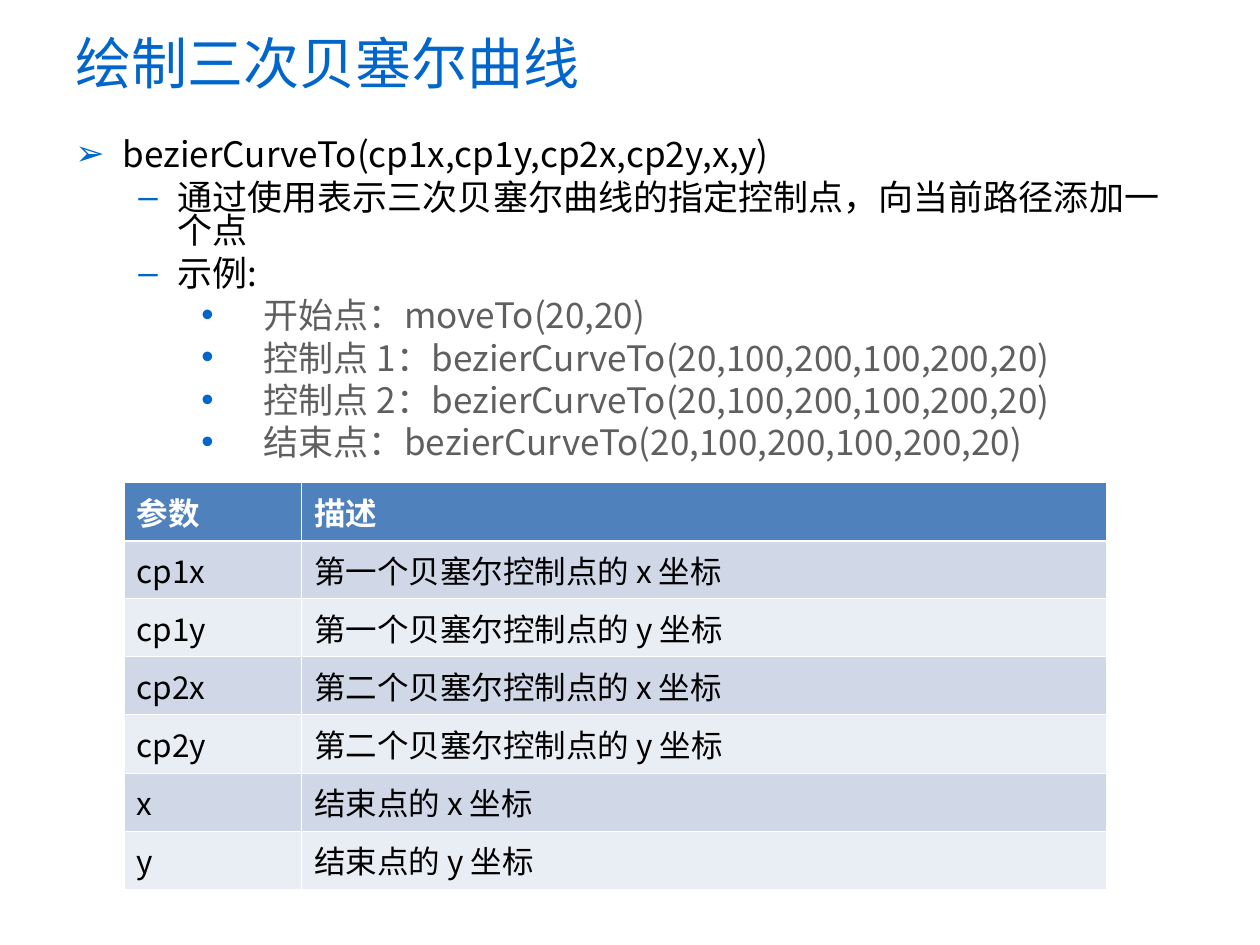
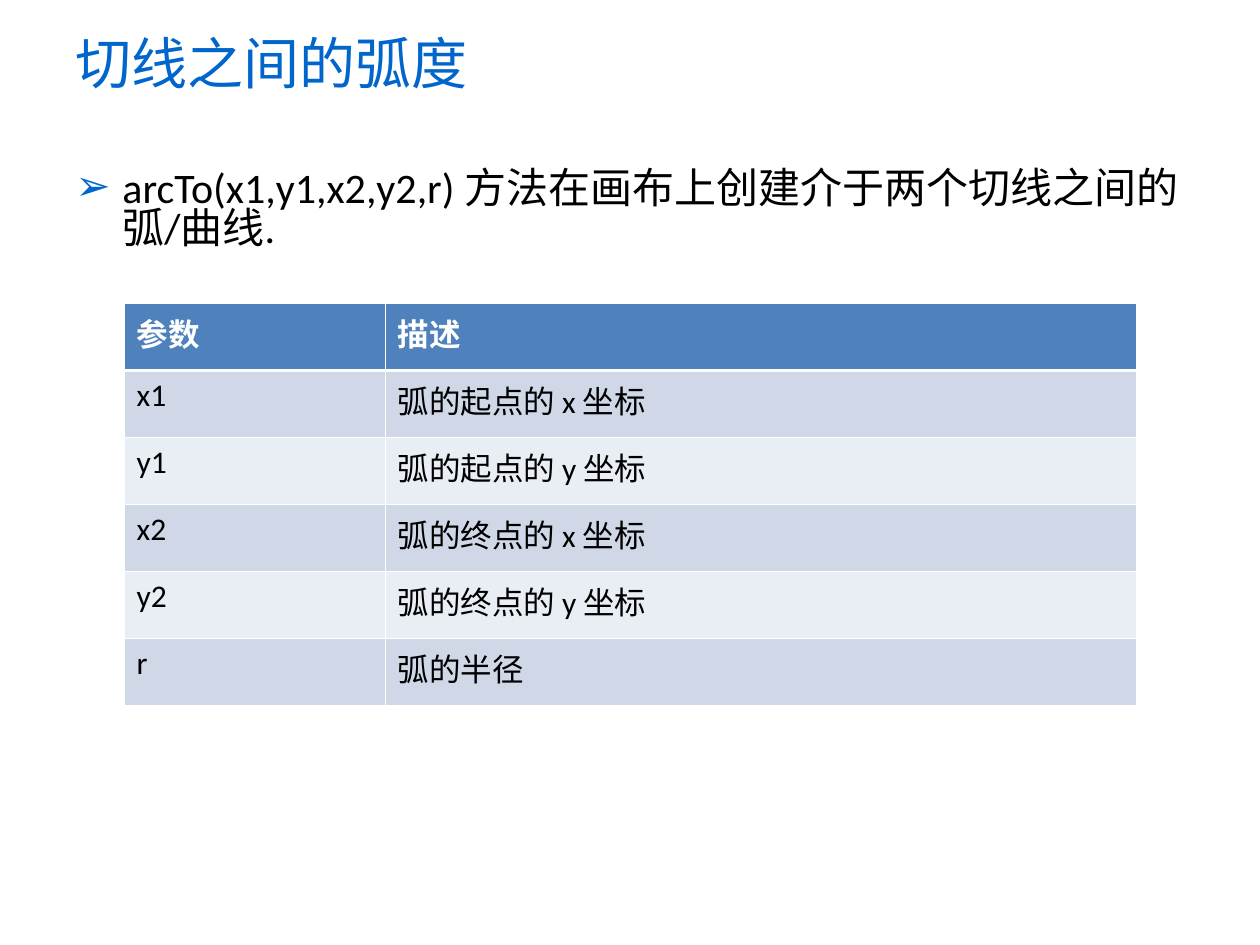
from lxml import etree
from pptx import Presentation
from pptx import util as u
from pptx.dml.color import RGBColor
from pptx.enum import text
from pptx.oxml import ns

COLORS = {
    "accent": "0066CC",
    "ink": "000000",
    "gray": "5F5F5F",
    "white": "FFFFFF",
    "header": "4F81BD",
    "odd_row": "D0D8E8",
    "even_row": "E9EDF4",
}
CJK = "Noto Sans CJK SC"
LATIN = "Calibri"
LEVELS = [
    ("➢", 0.95, 0.95, "ink"),
    ("–", 2.06, 0.79, "ink"),
    ("•", 3.8, 1.26, "gray"),
]
THIN, THICK = 0.45, 1.47


def child(parent, tag, **attrs):
    return etree.SubElement(parent, ns.qn(tag), attrs)


def add_run(p, words, size, font, color, bold=False):
    r = p.add_run()
    r.text = words
    r.font.size = u.Pt(size)
    r.font.bold = bold
    r.font.color.rgb = RGBColor.from_string(COLORS[color])
    r.font.name = font
    child(r._r.get_or_add_rPr(), "a:ea", typeface=CJK)


def add_textbox(s, box, anchor):
    tf = s.shapes.add_textbox(*map(u.Cm, box)).text_frame
    tf.word_wrap = True
    tf.vertical_anchor = anchor
    return tf


def add_title(s, box, runs):
    p = add_textbox(s, box, text.MSO_ANCHOR.MIDDLE).paragraphs[0]
    for words, font in runs:
        add_run(p, words, 32, font, "accent")


def set_bullet(p, char, left, hang):
    pPr = p._p.get_or_add_pPr()
    pPr.set("marL", str(u.Cm(left)))
    pPr.set("indent", str(-u.Cm(hang)))
    child(child(pPr, "a:buClr"), "a:srgbClr", val=COLORS["accent"])
    child(pPr, "a:buFont", typeface="Arial")
    child(pPr, "a:buChar", char=char)


def add_bullets(s, box, items, size, font, gap):
    tf = add_textbox(s, box, text.MSO_ANCHOR.TOP)
    for i, (level, words) in enumerate(items):
        p = tf.add_paragraph() if i else tf.paragraphs[0]
        char, left, hang, color = LEVELS[level]
        p.level = level
        p.line_spacing = 0.8
        p.space_before = u.Pt(gap)
        set_bullet(p, char, left, hang)
        add_run(p, words, size, font, color)


def set_borders(cell, row):
    widths = {
        "a:lnL": THIN,
        "a:lnR": THIN,
        "a:lnT": THICK if row == 1 else THIN,
        "a:lnB": THICK if row == 0 else THIN,
    }
    tcPr = cell._tc.get_or_add_tcPr()
    for tag, width in widths.items():
        ln = child(tcPr, tag, w=str(u.Pt(width)))
        child(child(ln, "a:solidFill"), "a:srgbClr", val=COLORS["white"])


def add_parameter_table(s, left, top, col_widths, row_height, params, font):
    rows = [("参数", "描述")] + params
    box = (left, top, sum(col_widths), row_height * len(rows))
    table = s.shapes.add_table(len(rows), len(col_widths), *map(u.Cm, box)).table
    for col, width in zip(table.columns, col_widths):
        col.width = u.Cm(width)
    for i, row in enumerate(rows):
        table.rows[i].height = u.Cm(row_height)
        header = i == 0
        fill = "header" if header else "odd_row" if i % 2 else "even_row"
        for j, words in enumerate(row):
            cell = table.cell(i, j)
            set_borders(cell, i)
            cell.fill.solid()
            cell.fill.fore_color.rgb = RGBColor.from_string(COLORS[fill])
            add_run(cell.text_frame.paragraphs[0], words, 18,
                    LATIN if header else font,
                    "white" if header else "ink", header)


def add_method_slide(prs, title, items, params, body_top, size, gap, font,
                     table_top, col_widths, row_height):
    s = prs.slides.add_slide(prs.slide_layouts[6])
    add_title(s, (1.27, -0.05, 19.43, 2.59), title)
    add_bullets(s, (1.27, body_top, 22.86, 17.02 - body_top),
                items, size, font, gap)
    add_parameter_table(s, 2.5, table_top, col_widths, row_height, params, font)


def main():
    prs = Presentation()
    prs.slide_width, prs.slide_height = u.Cm(25.4), u.Cm(19.05)

    curve_call = "bezierCurveTo(20,100,200,100,200,20)"
    add_method_slide(
        prs,
        title=[("绘制三", "Arial"), ("次贝塞尔曲线", LATIN)],
        items=[
            (0, "bezierCurveTo(cp1x,cp1y,cp2x,cp2y,x,y)"),
            (1, "通过使用表示三次贝塞尔曲线的指定控制点，向当前路径添加一个点"),
            (1, "示例:"),
            (2, "开始点：moveTo(20,20)"),
            (2, "控制点 1：" + curve_call),
            (2, "控制点 2：" + curve_call),
            (2, "结束点：" + curve_call),
        ],
        params=[
            ("cp1x", "第一个贝塞尔控制点的 x 坐标"),
            ("cp1y", "第一个贝塞尔控制点的 y 坐标"),
            ("cp2x", "第二个贝塞尔控制点的 x 坐标"),
            ("cp2y", "第二个贝塞尔控制点的 y 坐标"),
            ("x", "结束点的 x 坐标"),
            ("y", "结束点的 y 坐标"),
        ],
        body_top=2.72, size=20, gap=5, font=CJK,
        table_top=9.73, col_widths=(3.58, 16.23), row_height=1.17,
    )
    add_method_slide(
        prs,
        title=[("切线之间的弧度", "Arial")],
        items=[(0, "arcTo(x1,y1,x2,y2,r) 方法在画布上创建介于两个切线之间的弧/曲线.")],
        params=[
            ("x1", "弧的起点的 x 坐标"),
            ("y1", "弧的起点的 y 坐标"),
            ("x2", "弧的终点的 x 坐标"),
            ("y2", "弧的终点的 y 坐标"),
            ("r", "弧的半径"),
        ],
        body_top=3.33, size=24, gap=6, font=LATIN,
        table_top=6.12, col_widths=(5.26, 15.14), row_height=1.35,
    )
    prs.save("out.pptx")


if __name__ == "__main__":
    main()
